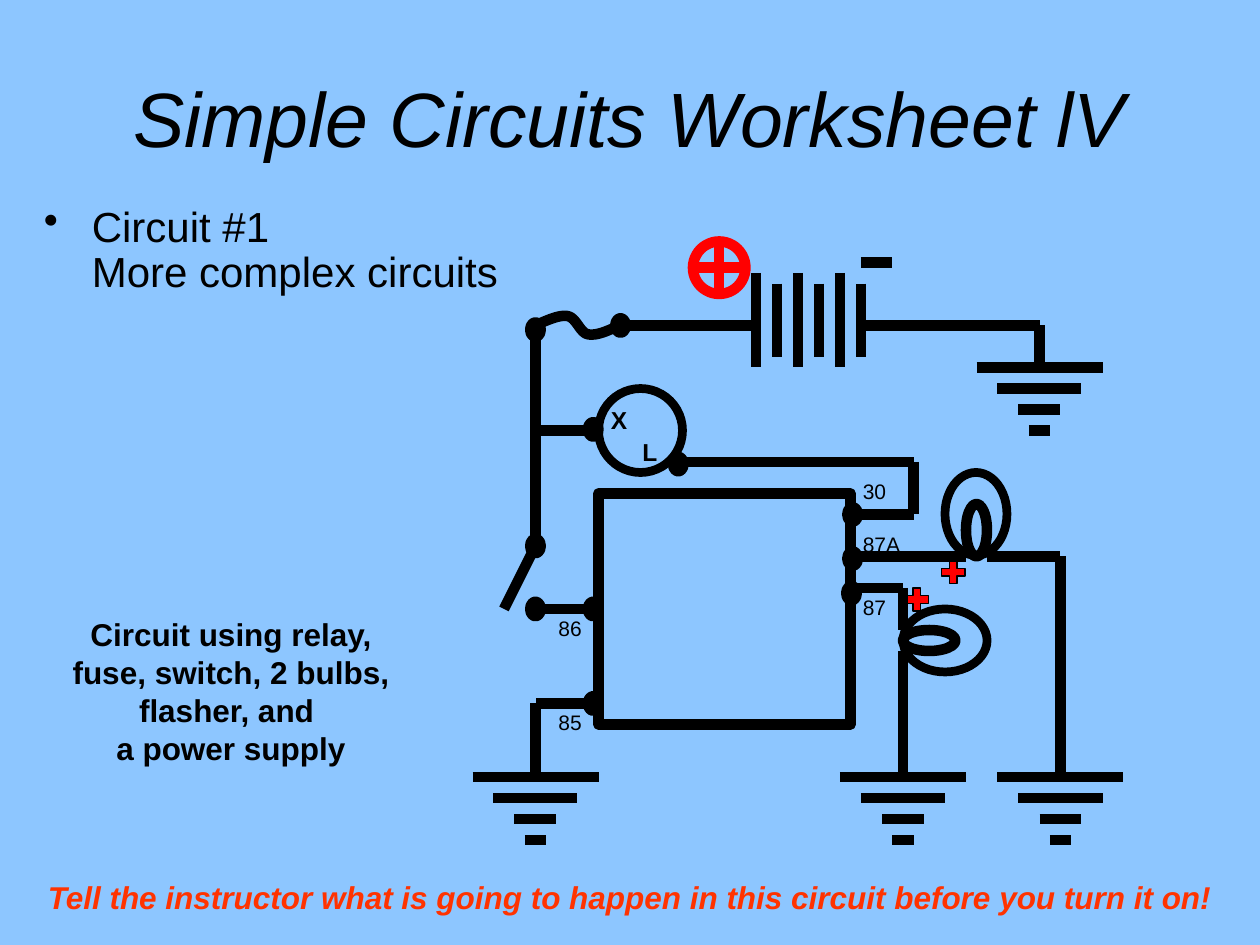
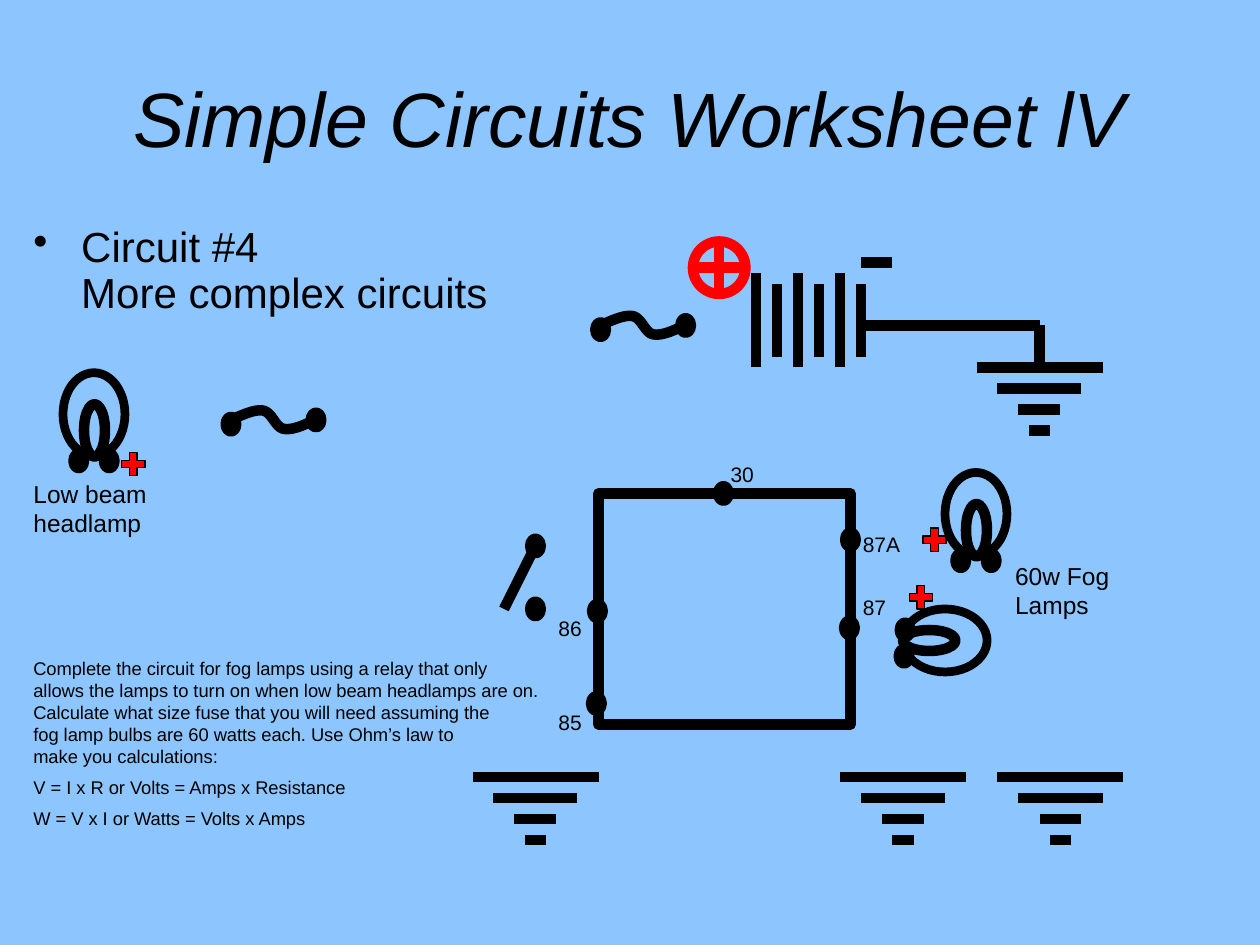
from copy import deepcopy
from dataclasses import dataclass
from itertools import pairwise

from lxml import etree
from pptx import Presentation
from pptx.dml.color import RGBColor
from pptx.enum.shapes import MSO_CONNECTOR, MSO_SHAPE
from pptx.enum.text import MSO_ANCHOR, PP_ALIGN
from pptx.oxml.ns import qn
from pptx.util import Inches, Pt

RECT, OVAL = MSO_SHAPE.RECTANGLE, MSO_SHAPE.OVAL
NODE, CROSSED, PLUS = MSO_SHAPE.FLOWCHART_CONNECTOR, MSO_SHAPE.FLOWCHART_OR, MSO_SHAPE.MATH_PLUS
STRAIGHT = MSO_CONNECTOR.STRAIGHT
CENTER, LEFT = PP_ALIGN.CENTER, PP_ALIGN.LEFT
MIDDLE = MSO_ANCHOR.MIDDLE

SLIDE_W, SLIDE_H = Inches(10), Inches(7.5)
COLS = 120
CELL = SLIDE_W // COLS


@dataclass(frozen=True)
class Theme:
    back: RGBColor = RGBColor(0x8D, 0xC6, 0xFF)
    ink: RGBColor = RGBColor(0, 0, 0)
    live: RGBColor = RGBColor(0xFF, 0, 0)
    alert: RGBColor = RGBColor(0xFF, 0x33, 0)
    font: str = "Arial"
    title: float = 44
    topic: float = 24
    callout: float = 18
    label: float = 14
    pin: float = 12
    note: float = 10.5
    wire: float = 6
    glass: float = 5


T = Theme()
TITLE = "Simple Circuits Worksheet lV"
FUSE_CURVE = [(0, 1), (1.1, 0.5), (2.2, 0), (3, 0.1), (3.9, 0.2),
              (4.2, 1.7), (5, 1.85), (5.9, 2), (6.9, 1.5), (8, 1)]
CURVE_STEPS = 12


def cells(*values):
    return [round(v * CELL) for v in values]


def write(tf, text, size, color=T.ink, align=LEFT, **style):
    tf.word_wrap = True
    for i, line in enumerate(text if isinstance(text, list) else [text]):
        p = tf.paragraphs[0] if i == 0 else tf.add_paragraph()
        p.text = line
        p.alignment = align
        p.space_before = Pt(size / 2 if i else 0)
        for r in p.runs:
            for name, value in {"name": T.font, "size": Pt(size), **style}.items():
                setattr(r.font, name, value)
            r.font.color.rgb = color
        for br in p._p.findall(qn("a:br")):
            br.append(deepcopy(p.runs[0]._r.rPr))


def text_box(s, box, text, size, **style):
    tf = s.shapes.add_textbox(*cells(*box)).text_frame
    write(tf, text, size, **style)
    return tf


def topic(s, box, text):
    p = text_box(s, box, text, T.topic).paragraphs[0]
    p.line_spacing = 0.9
    pPr = p._p.get_or_add_pPr()
    pPr.set("marL", str(Inches(0.38)))
    pPr.set("indent", str(-Inches(0.38)))
    etree.SubElement(pPr, qn("a:buChar"), char="•")


def stroke(shape, width=T.wire, color=T.ink):
    shape.line.color.rgb = color
    shape.line.width = Pt(width)


def outline(s, kind, box, width=T.wire, color=T.ink, fill=None):
    sp = s.shapes.add_shape(kind, *cells(*box))
    sp.shadow.inherit = False
    if fill is None:
        sp.fill.background()
    else:
        sp.fill.solid()
        sp.fill.fore_color.rgb = fill
    stroke(sp, width, color)
    return sp


def wire(s, *points):
    for start, end in pairwise(points):
        line = s.shapes.add_connector(STRAIGHT, *cells(*start, *end))
        etree.SubElement(line._element.spPr, qn("a:effectLst"))
        stroke(line)


def nodes(s, *centers):
    for x, y in centers:
        outline(s, NODE, (x - 0.5, y - 0.7, 1, 1.4), fill=T.ink)


def plus(s, x, y):
    outline(s, PLUS, (x, y, 3, 3), width=0, fill=T.live)


def ground(s, cx, y):
    for i, half in enumerate((6, 4, 2, 1)):
        wire(s, (cx - half, y + 2 * i), (cx + half, y + 2 * i))


def battery(s, x, y):
    for i in range(6):
        inset = i % 2
        px = x + 2 * i
        wire(s, (px, y + 3 + inset), (px, y + 12 - inset))
    outline(s, CROSSED, (x - 6, y, 5, 5), color=T.live)
    wire(s, (x + 10, y + 2), (x + 13, y + 2))
    wire(s, (x + 10, y + 8), (x + 27, y + 8), (x + 27, y + 12))
    ground(s, x + 27, y + 12)


def fuse(s, x, y):
    points = [FUSE_CURVE[0]]
    for i in range(0, len(FUSE_CURVE) - 1, 3):
        part = FUSE_CURVE[i:i + 4]
        for step in range(1, CURVE_STEPS + 1):
            t = step / CURVE_STEPS
            weights = ((1 - t) ** 3, 3 * t * (1 - t) ** 2, 3 * t * t * (1 - t), t ** 3)
            points.append(tuple(sum(w * q[axis] for w, q in zip(weights, part)) for axis in (0, 1)))
    path = [tuple(cells(x + px, y + py)) for px, py in points]
    builder = s.shapes.build_freeform(*path[0])
    builder.add_line_segments(path[1:], close=False)
    sp = builder.convert_to_shape()
    sp.shadow.inherit = False
    sp.fill.background()
    stroke(sp)
    nodes(s, (x, y + 1.4), (x + 8.1, y + 1))


def switch(s, x, y):
    wire(s, (x, y), (x - 3, y + 6))
    nodes(s, (x, y), (x, y + 6))


def upright_bulb(s, x, y, terminals=False):
    outline(s, OVAL, (x, y, 5.9, 7.9), width=T.glass)
    outline(s, OVAL, (x + 2, y + 3, 2, 5))
    if terminals:
        nodes(s, (x + 1.5, y + 8.4), (x + 4.4, y + 8.4))


def side_bulb(s, x, y, terminals=False):
    outline(s, OVAL, (x, y + 2, 5, 2))
    outline(s, OVAL, (x + 1, y - 1, 6, 8), width=T.glass).rotation = 90
    if terminals:
        nodes(s, (x + 0.2, y + 2), (x + 0.1, y + 4.5))


def relay(s, x, y, pin_30):
    outline(s, RECT, (x, y, 24, 22))
    pins = {"85": (-5, 20), "86": (-5, 11), "30": pin_30, "87A": (24, 3), "87": (24, 9)}
    for name, (dx, dy) in pins.items():
        text_box(s, (x + dx, y + dy, 7 if name == "87A" else 5, 3.6), name, T.pin)


def flasher(s, x, y):
    outline(s, OVAL, (x, y, 8, 8), width=T.glass)
    for name, offset in (("X", 0), ("L", 3)):
        text_box(s, (x + offset, y + 1 + offset, 4, 4), name, T.label, bold=True)
    nodes(s, (x - 0.5, y + 3.9), (x + 7.6, y + 7.2))


def worksheet(prs, pin_30, fuse_x, terminals, lamp_pluses):
    s = prs.slides.add_slide(prs.slide_layouts[5])
    title = s.shapes.title
    for name, value in zip(("left", "top", "width", "height"), cells(6, 3.6, 108, 15)):
        setattr(title, name, value)
    title.text_frame.vertical_anchor = MIDDLE
    write(title.text_frame, TITLE, T.title, align=CENTER, italic=True)
    battery(s, 72, 23)
    relay(s, 57, 47, pin_30)
    fuse(s, fuse_x, 30)
    switch(s, 51, 52)
    upright_bulb(s, 90, 45, terminals)
    side_bulb(s, 86, 58, terminals)
    for cx in (51, 86, 101):
        ground(s, cx, 74)
    for x, y in lamp_pluses:
        plus(s, x, y)
    return s


def finished_circuit(prs):
    s = worksheet(prs, (24, -2), 51, False, [(89.3, 53), (85.8, 55.6)])
    topic(s, (3, 19, 52, 10), "Circuit #1\vMore complex circuits")
    flasher(s, 57, 37)
    wire(s, (72, 31), (59, 31))
    wire(s, (51, 52), (51, 31))
    wire(s, (51, 41), (57, 41))
    wire(s, (51, 58), (57, 58))
    wire(s, (57, 67), (51, 67), (51, 74))
    wire(s, (64, 44), (87, 44), (87, 49), (81, 49))
    wire(s, (81, 53), (92, 53))
    wire(s, (94, 53), (101, 53), (101, 74))
    wire(s, (81, 56), (86, 56), (86, 60))
    wire(s, (86, 62), (86, 74))
    nodes(s, (56.5, 67), (56.5, 58), (81.1, 56.5), (81.2, 53.2), (81.2, 49))
    text_box(s, (4, 58, 36, 15.6),
             "Circuit using relay, fuse, switch, 2 bulbs, flasher, and \va power supply",
             T.callout, align=CENTER, bold=True)
    text_box(s, (0, 83, COLS, 4.8),
             "Tell the instructor what is going to happen in this circuit before you turn it on!",
             T.callout, color=T.alert, align=CENTER, bold=True, italic=True)


def open_circuit(prs):
    s = worksheet(prs, (11.4, -3.6), 57.2, True, [(87.5, 49.9), (86.2, 55.4)])
    topic(s, (2, 21, 47, 11), "Circuit #4\vMore complex circuits")
    nodes(s, (56.8, 67), (56.9, 58.2), (80.9, 59.8), (81, 51.4), (68.9, 47))
    fuse(s, 22, 39)
    upright_bulb(s, 6, 35.5, True)
    plus(s, 11.2, 42.7)
    text_box(s, (2, 45, 14, 6.8), "Low beam headlamp", T.label)
    text_box(s, (95.5, 52.8, 12.5, 6.8), "60w Fog Lamps", T.label)
    text_box(s, (2, 62, 115, 18), [
        "Complete the circuit for fog lamps using a relay that only\v"
        "allows the lamps to turn on when low beam headlamps are on.\v"
        "Calculate what size fuse that you will need assuming the\v"
        "fog lamp bulbs are 60 watts each. Use Ohm’s law to\v"
        "make you calculations:",
        "V = I x R or Volts = Amps x Resistance",
        "W = V x I or Watts = Volts x Amps"], T.note)


def main():
    prs = Presentation()
    prs.slide_width, prs.slide_height = SLIDE_W, SLIDE_H
    fill = prs.slide_master.background.fill
    fill.solid()
    fill.fore_color.rgb = T.back
    finished_circuit(prs)
    open_circuit(prs)
    prs.save("out.pptx")


if __name__ == "__main__":
    main()
